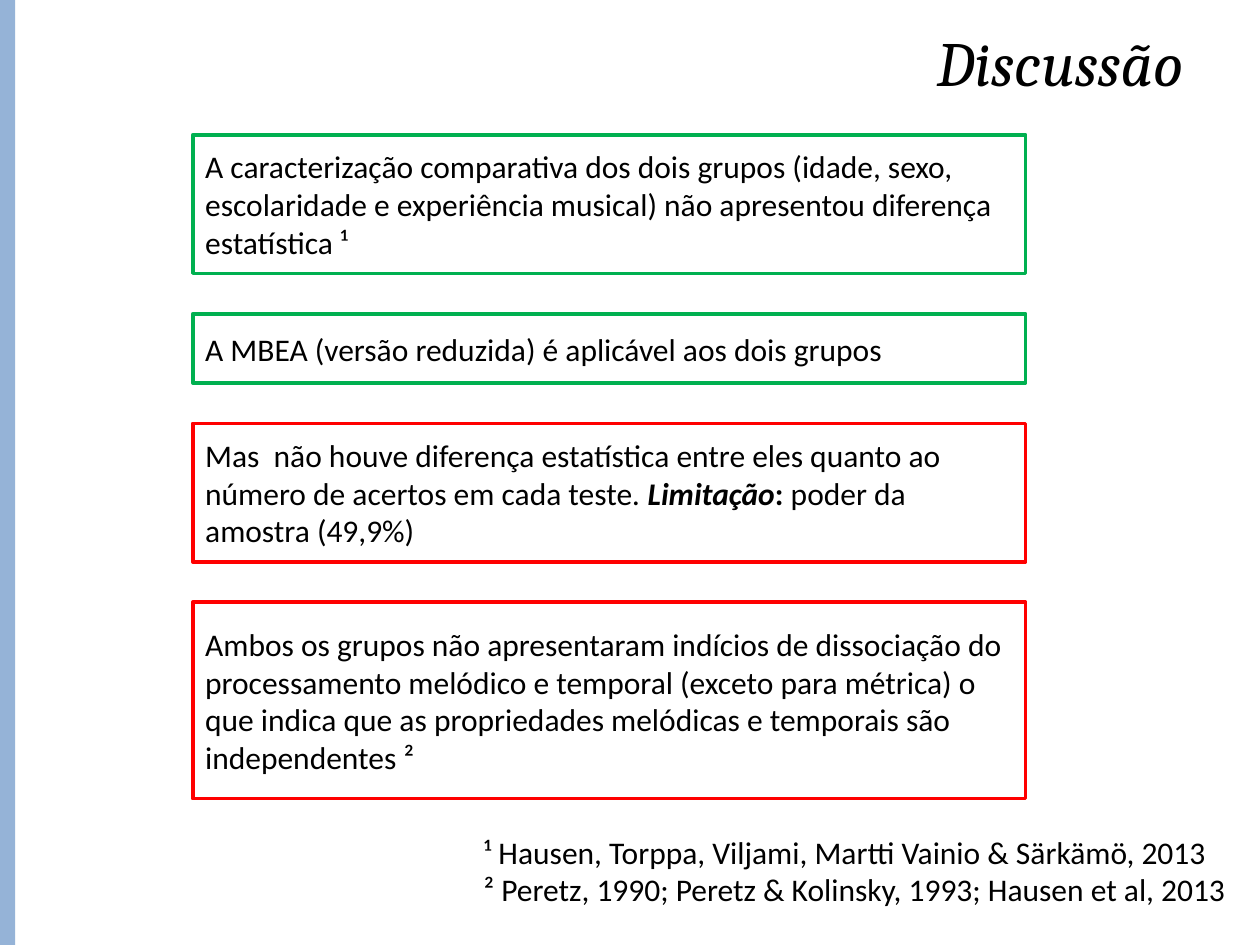
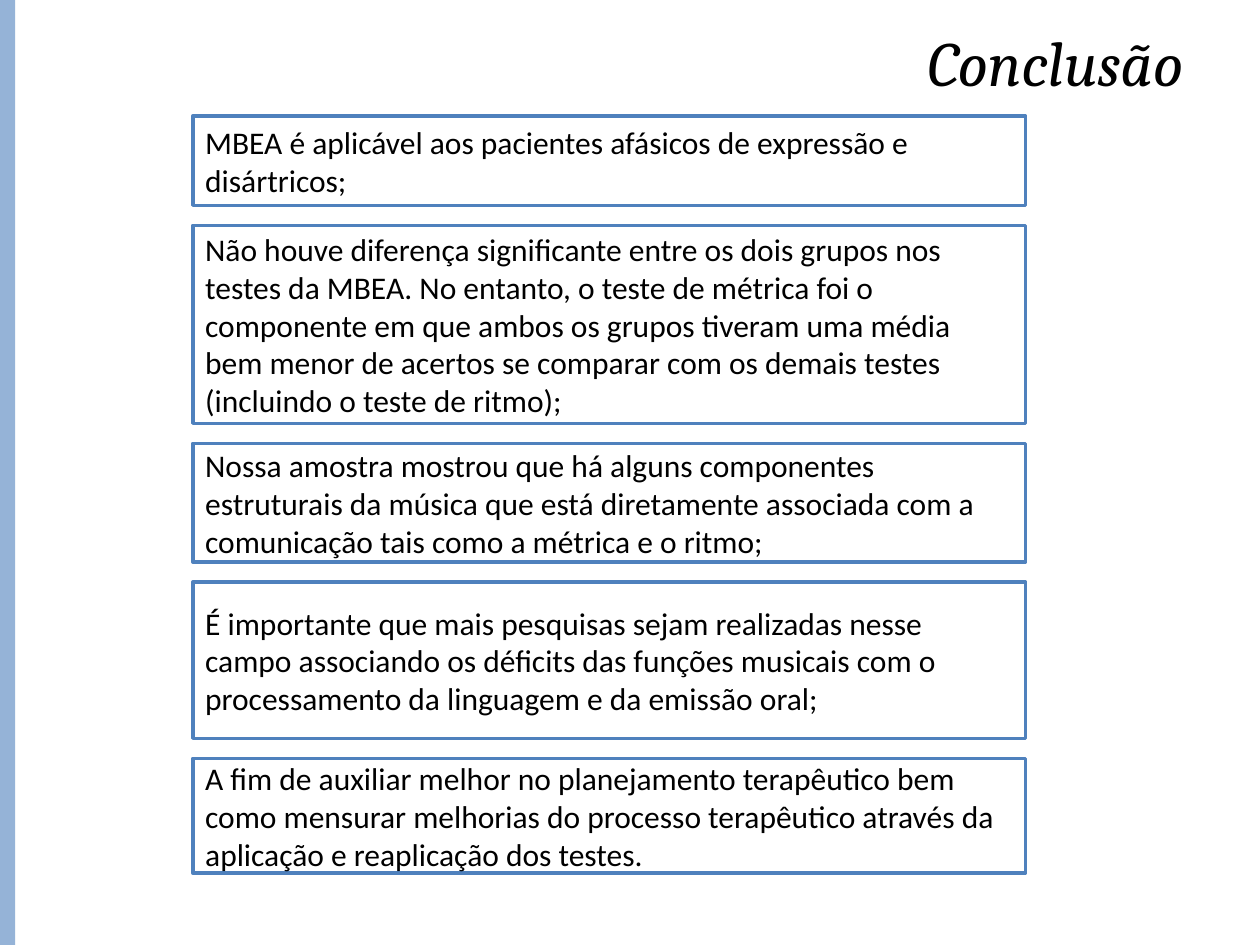
from pptx import Presentation
from pptx.dml.color import RGBColor
from pptx.enum.shapes import MSO_SHAPE
from pptx.enum.text import MSO_ANCHOR, PP_ALIGN
from pptx.util import Inches, Pt

BLACK = RGBColor(0x00, 0x00, 0x00)
WHITE = RGBColor(0xFF, 0xFF, 0xFF)
BAND_BLUE = RGBColor(0x95, 0xB3, 0xD7)
GREEN = RGBColor(0x00, 0xB0, 0x50)
RED = RGBColor(0xFF, 0x00, 0x00)
BLUE = RGBColor(0x4F, 0x81, 0xBD)

PAGE_WIDTH, PAGE_HEIGHT = 10, 7.5
BAND_WIDTH = 0.12
TITLE_AREA = (1.77, 0.14, 7.72, 0.7)
REFERENCES_AREA = (3.74, 6.56, 6.26, 0.7)
STACK_LEFT, STACK_WIDTH = 1.53, 6.61

PAGES = [
    {
        "title": "Discussão",
        "top": 1.07,
        "gap": 0.32,
        "statements": [
            (1.1, GREEN, "A caracterização comparativa dos dois grupos (idade, sexo, "
             "escolaridade e experiência musical) não apresentou diferença estatística ¹"),
            (0.55, GREEN, "A MBEA (versão reduzida) é aplicável aos dois grupos"),
            (1.1, RED, [
                ("Mas  não houve diferença estatística entre eles quanto ao "
                 "número de acertos em cada teste", ""),
                (". ", "i"),
                ("Limitação", "bi"),
                (":", "b"),
                (" poder da amostra (49,9%)", ""),
            ]),
            (1.56, RED, "Ambos os grupos não apresentaram indícios de dissociação do "
             "processamento melódico e temporal (exceto para métrica) o que indica que "
             "as propriedades melódicas e temporais são independentes ²"),
        ],
        "references": [
            "¹ Hausen, Torppa, Viljami, Martti Vainio & Särkämö, 2013",
            "² Peretz, 1990; Peretz & Kolinsky, 1993; Hausen et al, 2013",
        ],
    },
    {
        "title": "Conclusão",
        "top": 0.92,
        "gap": 0.16,
        "statements": [
            (0.71, BLUE, "MBEA é aplicável aos pacientes afásicos de expressão e disártricos;"),
            (1.57, BLUE, "Não houve diferença significante entre os dois grupos nos testes da "
             "MBEA. No entanto, o teste de métrica foi o componente em que ambos os grupos "
             "tiveram uma média bem menor de acertos se comparar com os demais testes "
             "(incluindo o teste de ritmo);"),
            (0.94, BLUE, "Nossa amostra mostrou que há alguns componentes estruturais da música "
             "que está diretamente associada com a comunicação tais como a métrica e o ritmo;"),
            (1.24, BLUE, "É importante que mais pesquisas sejam realizadas nesse campo "
             "associando os déficits das funções musicais com o processamento da linguagem "
             "e da emissão oral;"),
            (0.91, BLUE, "A fim de auxiliar melhor no planejamento terapêutico bem como "
             "mensurar melhorias do processo terapêutico através da aplicação e reaplicação "
             "dos testes."),
        ],
        "references": [],
    },
]


def style_font(font, name="Calibri", size=18, marks=""):
    font.name = name
    font.size = Pt(size)
    font.color.rgb = BLACK
    font.bold = "b" in marks
    font.italic = "i" in marks


def add_rectangle(page, area, fill, outline=None):
    box = page.shapes.add_shape(MSO_SHAPE.RECTANGLE, *map(Inches, area))
    box.shadow.inherit = False
    box.fill.solid()
    box.fill.fore_color.rgb = fill
    if outline is None:
        box.line.fill.background()
    else:
        box.line.color.rgb = outline
        box.line.width = Pt(2)
    return box


def add_text(page, area, lines, align=PP_ALIGN.LEFT, **style):
    box = page.shapes.add_textbox(*map(Inches, area))
    box.text_frame.word_wrap = True
    box.text_frame.text = "\n".join(lines)
    for para in box.text_frame.paragraphs:
        para.alignment = align
        for span in para.runs:
            style_font(span.font, **style)


def add_statement(page, top, height, outline, content):
    box = add_rectangle(page, (STACK_LEFT, top, STACK_WIDTH, height), WHITE, outline)
    frame = box.text_frame
    frame.word_wrap = True
    frame.vertical_anchor = MSO_ANCHOR.MIDDLE
    para = frame.paragraphs[0]
    para.alignment = PP_ALIGN.LEFT
    spans = [(content, "")] if isinstance(content, str) else content
    for words, marks in spans:
        span = para.add_run()
        span.text = words
        style_font(span.font, marks=marks)


def add_page(deck, content):
    page = deck.slides.add_slide(deck.slide_layouts[6])
    add_rectangle(page, (0, 0, BAND_WIDTH, PAGE_HEIGHT), BAND_BLUE)
    add_text(page, TITLE_AREA, [content["title"]], PP_ALIGN.RIGHT,
             name="Cambria", size=36, marks="i")
    top = content["top"]
    for height, outline, words in content["statements"]:
        add_statement(page, top, height, outline, words)
        top += height + content["gap"]
    if content["references"]:
        add_text(page, REFERENCES_AREA, content["references"])


def main():
    deck = Presentation()
    deck.slide_width = Inches(PAGE_WIDTH)
    deck.slide_height = Inches(PAGE_HEIGHT)
    for content in PAGES:
        add_page(deck, content)
    deck.save("out.pptx")


if __name__ == "__main__":
    main()
